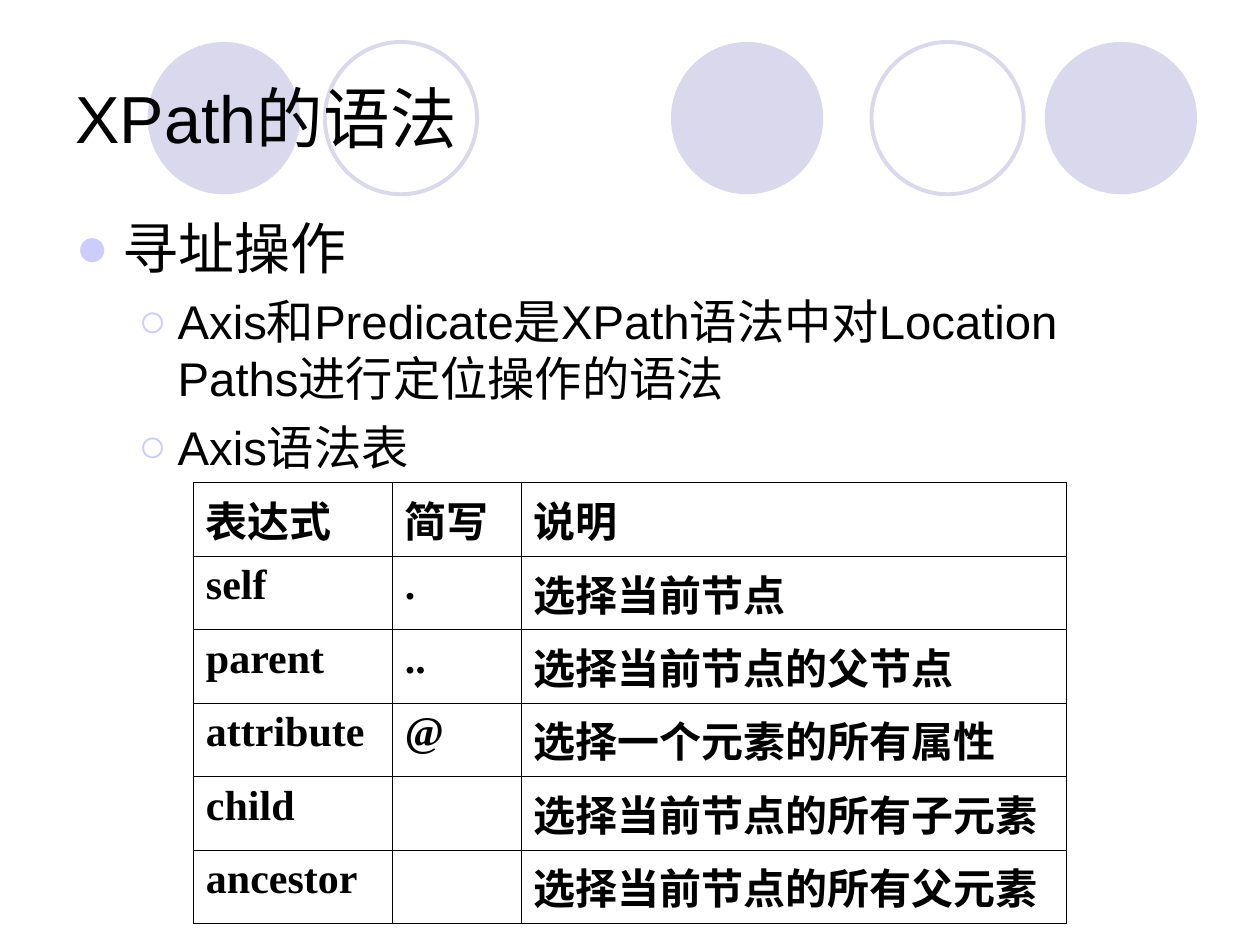
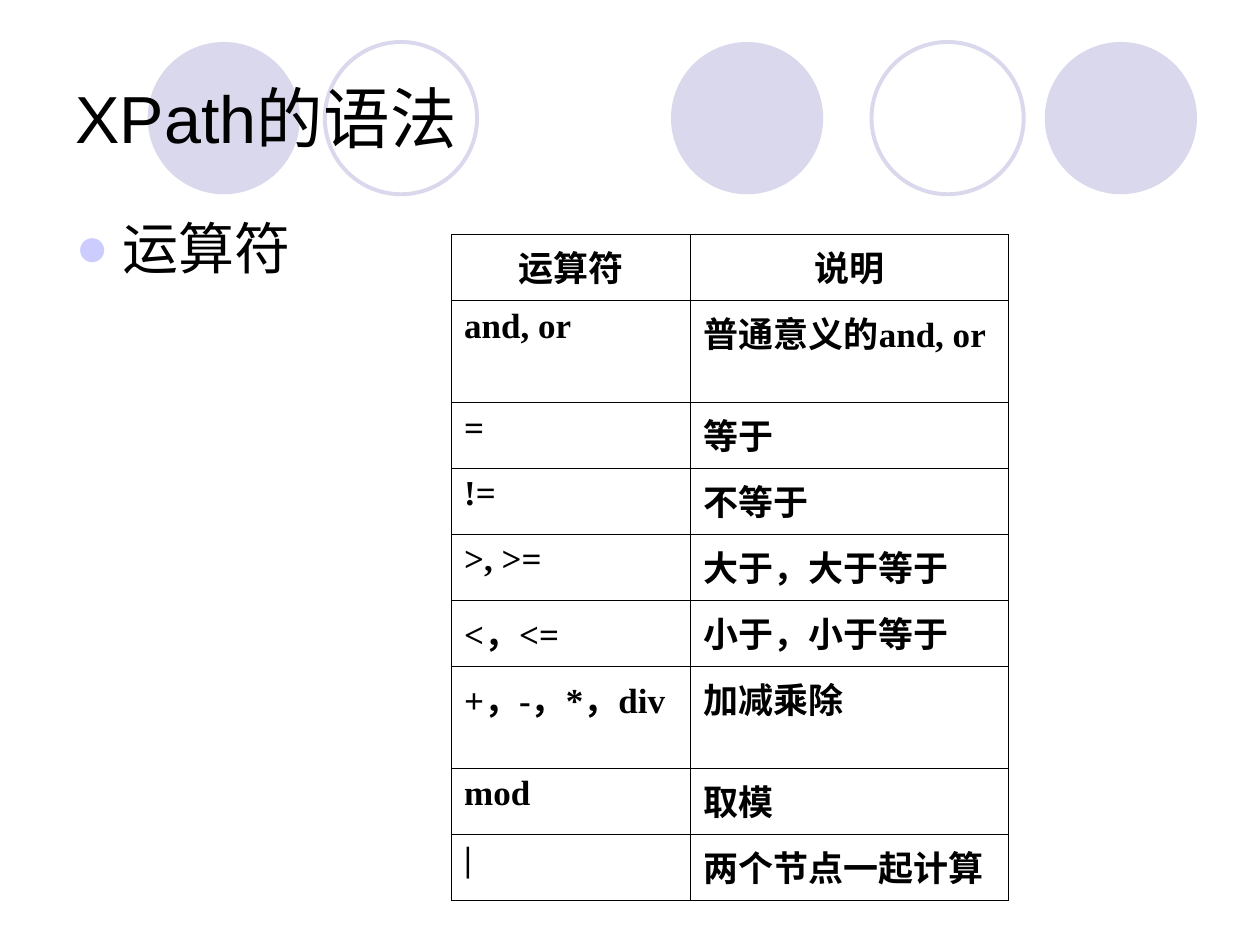
import lxml.etree
import pptx
import pptx.dml.color
import pptx.enum.shapes
import pptx.enum.text
import pptx.oxml.ns
import pptx.util

Pt = pptx.util.Pt
qn = pptx.oxml.ns.qn
PP_ALIGN = pptx.enum.text.PP_ALIGN

BLACK = pptx.dml.color.RGBColor(0x00, 0x00, 0x00)
LILAC = pptx.dml.color.RGBColor(0xD9, 0xD8, 0xEC)
BULLET = pptx.dml.color.RGBColor(0xCC, 0xCC, 0xFF)

# Level: bullet, left margin, hanging indent, text size, space before, line spacing
LEVELS = [("●", 27, 27, 32, 8, 0.8), ("○", 58.5, 22.5, 27, 6.8, 1.0)]

# Left edge, filled
CIRCLES = [(383.4, True), (597, True), (84.4, True), (498, False), (185.6, False)]

SLIDES = [
    {
        "title": "XPath的语法",
        "body": [
            (0, "寻址操作"),
            (1, "Axis和Predicate是XPath语法中对Location Paths进行定位操作的语法"),
            (1, "Axis语法表"),
        ],
        "at": (110.5, 275.75),
        "cols": [113.75, 73.5, 311.75],
        "heights": [42] * 6,
        "size": 24,
        "header_align": PP_ALIGN.LEFT,
        "rows": [
            ("表达式", "简写", "说明"),
            ("self", ".", "选择当前节点"),
            ("parent", "..", "选择当前节点的父节点"),
            ("attribute", "@", "选择一个元素的所有属性"),
            ("child", "", "选择当前节点的所有子元素"),
            ("ancestor", "", "选择当前节点的所有父元素"),
        ],
    },
    {
        "title": "XPath的语法",
        "body": [(0, "运算符")],
        "at": (258, 134),
        "cols": [136.75, 181.5],
        "heights": [37.7, 58.3] + [37.7] * 4 + [58.3] + [37.7] * 2,
        "size": 20,
        "header_align": PP_ALIGN.CENTER,
        "rows": [
            ("运算符", "说明"),
            ("and, or", "普通意义的and, or"),
            ("=", "等于"),
            ("!=", "不等于"),
            (">, >=", "大于，大于等于"),
            ("<，<=", "小于，小于等于"),
            ("+，-，*，div", "加减乘除"),
            ("mod", "取模"),
            ("|", "两个节点一起计算"),
        ],
    },
]


def write(p, text, font, size, bold=False, margin=0, hang=0):
    """Fill a paragraph, format its runs and set its hanging indent."""
    p.text = text
    for r in p.runs:
        r.font.name = font
        r.font.size = Pt(size)
        r.font.bold = bold
        r.font.color.rgb = BLACK
    pPr = p._p.get_or_add_pPr()
    pPr.set("marL", str(Pt(margin)))
    pPr.set("indent", str(-Pt(hang)))


def add_solid(parent, color):
    fill = lxml.etree.SubElement(parent, qn("a:solidFill"))
    lxml.etree.SubElement(fill, qn("a:srgbClr"), val=str(color))


prs = pptx.Presentation()
prs.slide_width, prs.slide_height = Pt(720), Pt(540)
layout = prs.slide_layouts[5]
slides = [prs.slides.add_slide(layout) for _ in SLIDES]

# The circle band is drawn once and moved to the shared layout
for left, filled in CIRCLES:
    sp = slides[0].shapes.add_shape(
        pptx.enum.shapes.MSO_SHAPE.OVAL, Pt(left), Pt(24), Pt(87), Pt(87))
    sp.shadow.inherit = False
    if filled:
        sp.fill.solid()
        sp.fill.fore_color.rgb = LILAC
        sp.line.fill.background()
    else:
        sp.fill.background()
        sp.line.color.rgb = LILAC
        sp.line.width = Pt(2.25)
    layout.shapes.element.append(sp.element)

for s, data in zip(slides, SLIDES):
    # Title
    title = s.shapes.title
    title.left, title.top, title.width, title.height = Pt(36), Pt(22), Pt(648), Pt(90)
    tf = title.text_frame
    tf.auto_size = pptx.enum.text.MSO_AUTO_SIZE.NONE
    tf.vertical_anchor = pptx.enum.text.MSO_ANCHOR.MIDDLE
    write(tf.paragraphs[0], data["title"], "Arial", 38)
    tf.paragraphs[0].alignment = PP_ALIGN.LEFT

    # Bulleted text
    tf = s.shapes.add_textbox(Pt(36), Pt(126), Pt(648), Pt(356.5)).text_frame
    tf.word_wrap = True
    for i, (level, text) in enumerate(data["body"]):
        bullet, margin, hang, size, before, spacing = LEVELS[level]
        p = tf.add_paragraph() if i else tf.paragraphs[0]
        write(p, text, "Arial", size, margin=margin, hang=hang)
        p.level = level
        p.line_spacing = spacing
        p.space_before = Pt(before)
        pPr = p._p.get_or_add_pPr()
        color = lxml.etree.SubElement(pPr, qn("a:buClr"))
        lxml.etree.SubElement(color, qn("a:srgbClr"), val=str(BULLET))
        lxml.etree.SubElement(pPr, qn("a:buFont"), typeface="Arial")
        lxml.etree.SubElement(pPr, qn("a:buChar"), char=bullet)

    # Table
    rows, cols, heights = data["rows"], data["cols"], data["heights"]
    left, top = data["at"]
    table = s.shapes.add_table(len(rows), len(cols), Pt(left), Pt(top),
                               Pt(sum(cols)), Pt(sum(heights))).table
    table.first_row = table.horz_banding = False
    for column, width in zip(table.columns, cols):
        column.width = Pt(width)
    for i, (row, height) in enumerate(zip(rows, heights)):
        table.rows[i].height = Pt(height)
        for j, text in enumerate(row):
            cell = table.cell(i, j)
            tcPr = cell._tc.get_or_add_tcPr()
            for side in ("a:lnL", "a:lnR", "a:lnT", "a:lnB"):
                add_solid(lxml.etree.SubElement(tcPr, qn(side), w=str(Pt(0.45))), BLACK)
            cell.fill.background()
            if text:
                p = cell.text_frame.paragraphs[0]
                write(p, text, "Times New Roman", data["size"], True, 27, 27)
                p.alignment = PP_ALIGN.LEFT if i else data["header_align"]

prs.save("out.pptx")
